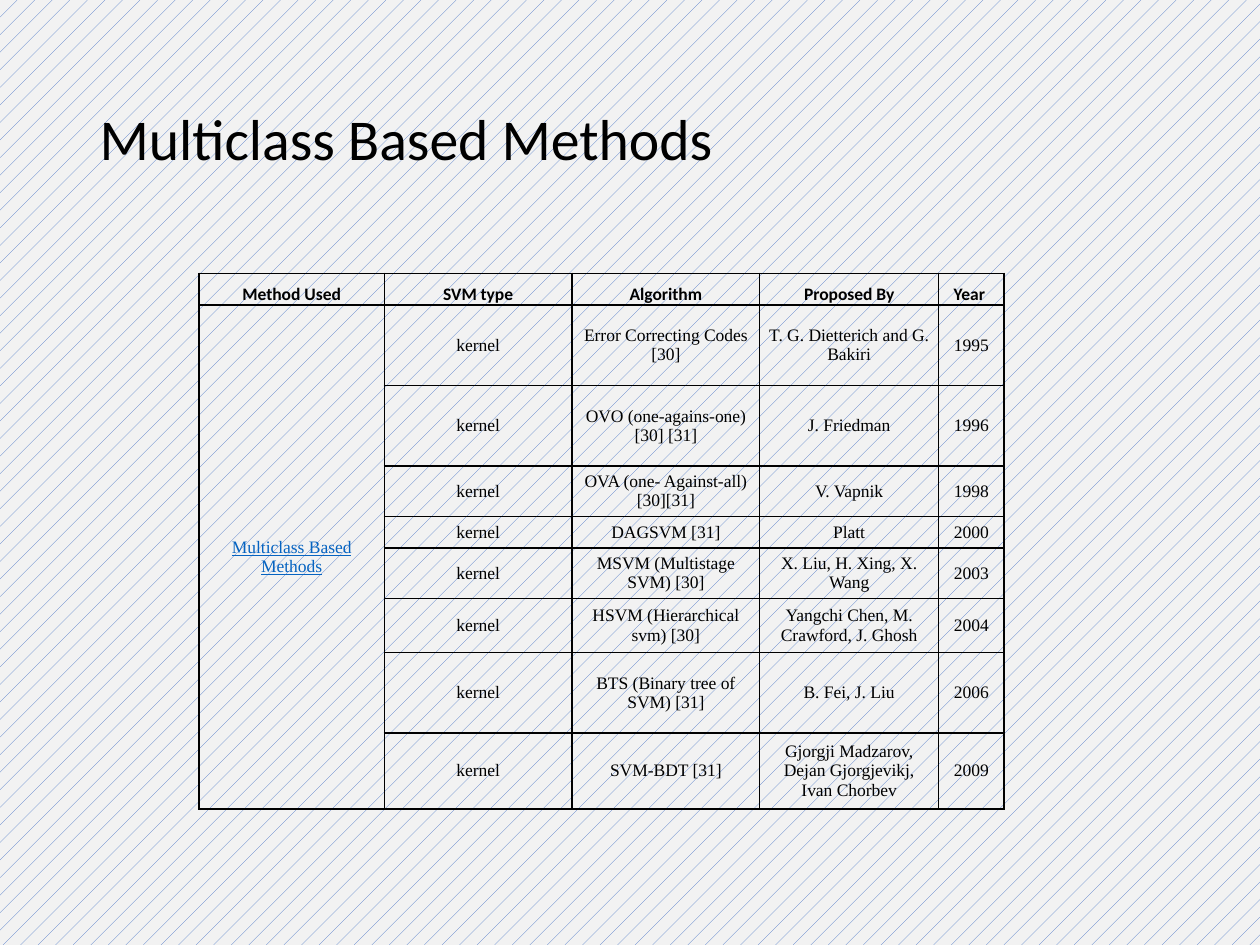
from typing import NamedTuple

from lxml import etree
from pptx import Presentation
from pptx.dml.color import RGBColor
from pptx.enum import dml, text
from pptx.oxml.ns import qn
from pptx.util import Inches, Pt

# Grid: 1000 columns by 750 rows over the slide
WIDE, HIGH = Inches(10), Inches(7.5)
COL, ROW = WIDE // 1000, HIGH // 750


class Look(NamedTuple):
    font: str
    color: str = "000000"
    bold: bool = False
    line: bool = False
    size: float = 10
    inset: int = 7
    anchor: text.MSO_ANCHOR = text.MSO_ANCHOR.MIDDLE


class Method(NamedTuple):
    height: int
    name: str
    authors: str
    year: str


HEAD = Look("Calibri", bold=True, inset=3, anchor=text.MSO_ANCHOR.BOTTOM)
BODY = Look("Times New Roman")
LINK = BODY._replace(color="0563C1", line=True)
TITLE = Look("Calibri", size=33)

HEADS = ["Method Used", "SVM type", "Algorithm", "Proposed By", "Year "]
WIDTHS = [147, 149, 149, 142, 52]
HEAD_H = 25
METHODS = [
    Method(64, "Error Correcting Codes [30]", "T. G. Dietterich and G. Bakiri", "1995"),
    Method(64, "OVO (one-agains-one) [30] [31]", "J. Friedman", "1996"),
    Method(40, "OVA (one- Against-all) [30][31]", "V. Vapnik", "1998"),
    Method(25, "DAGSVM [31]", "Platt", "2000"),
    Method(40, "MSVM (Multistage SVM) [30]", "X. Liu, H. Xing, X. Wang", "2003"),
    Method(43, "HSVM (Hierarchical svm) [30]", "Yangchi Chen, M. Crawford, J. Ghosh", "2004"),
    Method(64, "BTS (Binary tree of SVM) [31]", "B. Fei, J. Liu", "2006"),
    Method(60, "SVM-BDT [31]", "Gjorgji Madzarov, Dejan Gjorgjevikj, Ivan Chorbev", "2009"),
]


def paint(target, color: str) -> None:
    target.rgb = RGBColor.from_string(color)


def style(para, look: Look, align: text.PP_ALIGN) -> None:
    para.alignment = align
    font = para.font
    font.name, font.size = look.font, Pt(look.size)
    font.bold, font.underline = look.bold, look.line
    paint(font.color, look.color)


def frame(cell, color: str = "000000") -> None:
    """Draw a one-point border on all four sides of a cell."""
    props = cell._tc.get_or_add_tcPr()
    for spot, side in enumerate(("lnL", "lnR", "lnT", "lnB")):
        edge = etree.Element(qn(f"a:{side}"), w=str(Pt(1)))
        fill = etree.SubElement(edge, qn("a:solidFill"))
        etree.SubElement(fill, qn("a:srgbClr"), val=color)
        props.insert(spot, edge)


def write(cell, words: str, look: Look) -> None:
    cell.text = words
    cell.vertical_anchor = look.anchor
    cell.margin_left = cell.margin_right = look.inset * COL
    cell.margin_top = cell.margin_bottom = 0
    style(cell.text_frame.paragraphs[0], look, text.PP_ALIGN.CENTER)


def add_title(slide, words: str) -> None:
    title = slide.shapes.title
    title.left, title.top = 69 * COL, 40 * ROW
    title.width, title.height = 862 * COL, 145 * ROW
    title.text_frame.text = words
    title.text_frame.vertical_anchor = TITLE.anchor
    para = title.text_frame.paragraphs[0]
    para.line_spacing = 0.9
    style(para, TITLE, text.PP_ALIGN.LEFT)


def add_grid(slide) -> None:
    heights = [HEAD_H] + [m.height for m in METHODS]
    grid = slide.shapes.add_table(
        len(heights), len(WIDTHS), 158 * COL, 217 * ROW,
        sum(WIDTHS) * COL, sum(heights) * ROW).table
    grid.first_row = grid.horz_banding = False
    for col, width in zip(grid.columns, WIDTHS):
        col.width = width * COL
    for row, height in zip(grid.rows, heights):
        row.height = height * ROW
    for cell in grid.iter_cells():
        cell.fill.background()
        frame(cell)

    # Header, then one row per method
    for c, words in enumerate(HEADS):
        write(grid.cell(0, c), words, HEAD)
    for r, m in enumerate(METHODS, 1):
        for c, words in enumerate(("kernel", m.name, m.authors, m.year), 1):
            write(grid.cell(r, c), words, BODY)

    # Group cell down the first column
    group = grid.cell(1, 0)
    group.merge(grid.cell(len(METHODS), 0))
    write(group, "Multiclass Based Methods", LINK)


def main() -> None:
    deck = Presentation()
    deck.slide_width, deck.slide_height = WIDE, HIGH
    slide = deck.slides.add_slide(deck.slide_layouts[5])

    # Patterned background
    fill = slide.background.fill
    fill.patterned()
    fill.pattern = dml.MSO_PATTERN.PERCENT_5
    paint(fill.fore_color, "4472C4")
    paint(fill.back_color, "F2F2F2")

    add_title(slide, "Multiclass Based Methods")
    add_grid(slide)
    deck.save("out.pptx")


if __name__ == "__main__":
    main()
